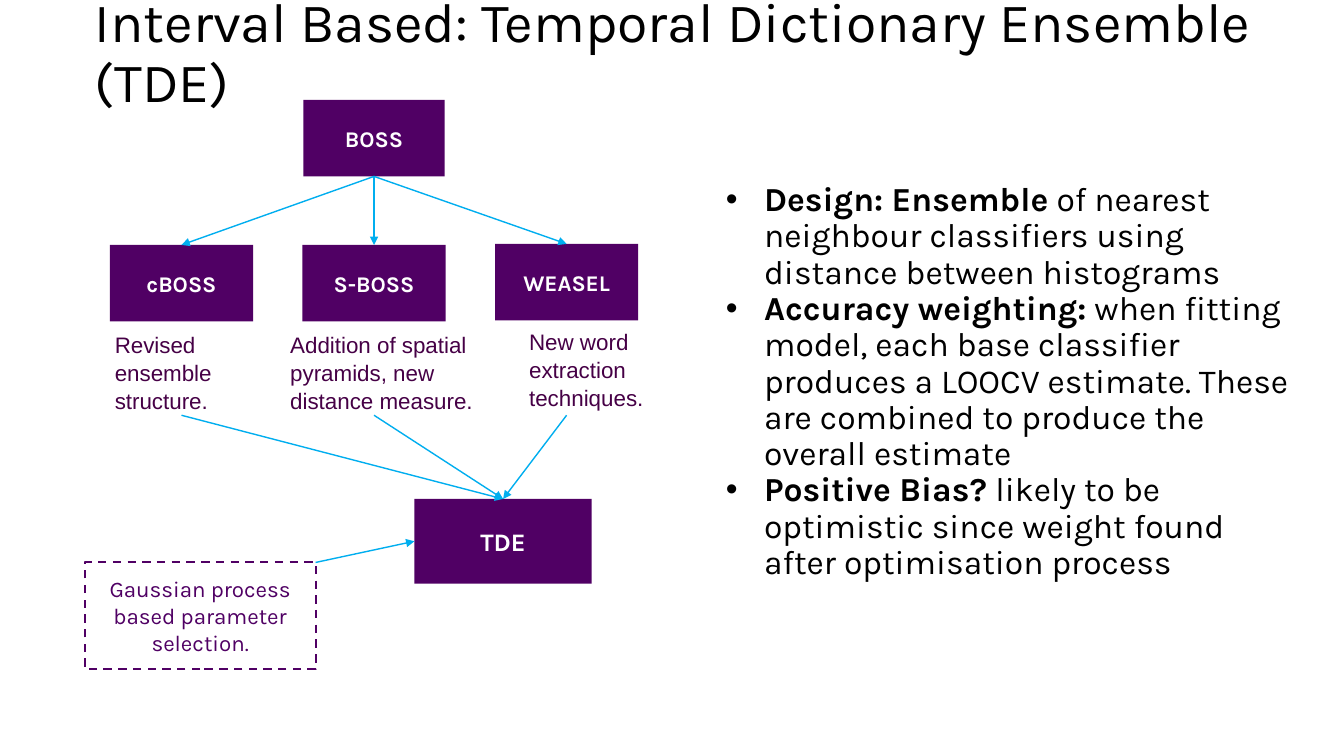
from lxml.etree import SubElement
from pptx import Presentation
from pptx.dml.color import RGBColor
from pptx.enum.dml import MSO_LINE
from pptx.enum.shapes import MSO_CONNECTOR, MSO_SHAPE
from pptx.enum.text import MSO_ANCHOR, MSO_AUTO_SIZE, PP_ALIGN
from pptx.oxml.ns import qn
from pptx.util import Pt

PX = 9144  # 100 px to the inch
TOP, LEFT, BOTTOM = 0, 1, 2
PURPLE, PLUM, CYAN, WHITE, BLACK = "500064", "460046", "00AEEF", "FFFFFF", "000000"

METHODS = [  # name, box top, note text, note left, note top, note width
    ("cBOSS", 144, "Revised ensemble structure.", 8, 218, 154),
    ("S-BOSS", 144, "Addition of spatial pyramids, new distance measure.", 182, 218, 232),
    ("WEASEL", 143, "New word extraction techniques.", 419, 215, 196),
]
POINTS = [
    ("Design: Ensemble", " of nearest neighbour classifiers using distance between histograms"),
    ("Accuracy weighting:", " when fitting model, each base classifier produces a LOOCV estimate. "
     "These are combined to produce the overall estimate"),
    ("Positive Bias? ", "likely to be optimistic since weight found after optimisation process"),
]


def px(*sizes):
    return [size * PX for size in sizes]


def color(code):
    return RGBColor.from_string(code)


def style(para, size, code, name="Karla", bold=None):
    font = para.font
    font.name, font.size, font.bold = name, Pt(size), bold
    font.color.rgb = color(code)


def indent(para, left, first=0):
    props = para._p.get_or_add_pPr()
    props.set("marL", str(left * PX))
    props.set("indent", str(first * PX))
    return props


def block(slide, box, text, size=16, fill=PURPLE, ink=WHITE, bold=True):
    shape = slide.shapes.add_shape(MSO_SHAPE.RECTANGLE, *px(*box))
    shape.shadow.inherit = False
    shape.fill.solid()
    shape.fill.fore_color.rgb = color(fill)
    shape.line.fill.background()
    frame = shape.text_frame
    frame.word_wrap = True
    frame.vertical_anchor = MSO_ANCHOR.MIDDLE
    para = frame.paragraphs[0]
    para.text, para.alignment = text, PP_ALIGN.CENTER
    style(para, size, ink, bold=bold)
    return shape


def note(slide, box, text):
    frame = slide.shapes.add_textbox(*px(*box)).text_frame
    frame.word_wrap = True
    frame.margin_left = frame.margin_right = 10 * PX
    frame.margin_top = frame.margin_bottom = 10 * PX
    para = frame.paragraphs[0]
    para.text, para.line_spacing = text, 1.05
    indent(para, 12)
    style(para, 16, PLUM, "Arial")


def arrow(slide, start, goal, side):
    """Start is a point, or a shape that is left from its bottom."""
    line = slide.shapes.add_connector(MSO_CONNECTOR.STRAIGHT, 0, 0, 0, 0)
    if isinstance(start, tuple):
        line.begin_x, line.begin_y = px(*start)
    else:
        line.begin_connect(start, BOTTOM)
    line.end_connect(goal, side)
    line.line.color.rgb = color(CYAN)
    line.line.width = Pt(1)
    SubElement(line.line._get_or_add_ln(), qn("a:tailEnd"), type="triangle")
    SubElement(line._element.spPr, qn("a:effectLst"))


def heading(slide, box):
    title = slide.shapes.title
    title.left, title.top, title.width, title.height = px(*box)
    frame = title.text_frame
    frame.word_wrap = True
    frame.auto_size = MSO_AUTO_SIZE.NONE
    frame.vertical_anchor = MSO_ANCHOR.MIDDLE
    para = frame.paragraphs[0]
    para.text = "Interval Based: Temporal Dictionary Ensemble (TDE)"
    para.alignment, para.line_spacing = PP_ALIGN.LEFT, 0.9
    style(para, 39.6, BLACK)


def diagram(slide, x, y):
    # Root, result and tuning boxes
    root = block(slide, (x + 217, y, 140, 76), "BOSS")
    goal = block(slide, (x + 327, y + 396, 176, 84), "TDE", 18)
    tuning = block(slide, (x, y + 459, 229, 106),
                   "Gaussian process based parameter selection.",
                   fill=WHITE, ink=PURPLE, bold=False)
    tuning.line.color.rgb = color(PURPLE)
    tuning.line.width = Pt(1.5)
    tuning.line.dash_style = MSO_LINE.DASH
    arrow(slide, (x + 229, y + 459), goal, LEFT)

    # Three methods, each with a note and arrows in and out
    for col, (name, top, text, left, low, width) in enumerate(METHODS):
        edge = x + 25 + 191 * col
        method = block(slide, (edge, y + top, 142, 76), name)
        note(slide, (x + left, y + low, width, 140), text)
        arrow(slide, root, method, TOP)
        arrow(slide, (edge + 71, y + 313), goal, TOP)


def bullets(slide, box):
    frame = slide.shapes.add_textbox(*px(*box)).text_frame
    frame.word_wrap = True
    frame.vertical_anchor = MSO_ANCHOR.BOTTOM
    for num, (lead, rest) in enumerate(POINTS):
        para = frame.add_paragraph() if num else frame.paragraphs[0]
        para.line_spacing = 0.9
        props = indent(para, 38, -38)
        SubElement(props, qn("a:buFont"), typeface="Arial")
        SubElement(props, qn("a:buChar"), char="•")
        style(para, 24, BLACK)
        for text, bold in ((lead, True), (rest, False)):
            run = para.add_run()
            run.text, run.font.bold = text, bold


def main():
    deck = Presentation()
    deck.slide_width, deck.slide_height = px(1333, 750)
    slide = deck.slides.add_slide(deck.slide_layouts[5])
    heading(slide, (84, 9, 1208, 90))
    diagram(slide, 84, 99)
    bullets(slide, (710, 99, 585, 483))
    deck.save("out.pptx")


if __name__ == "__main__":
    main()
